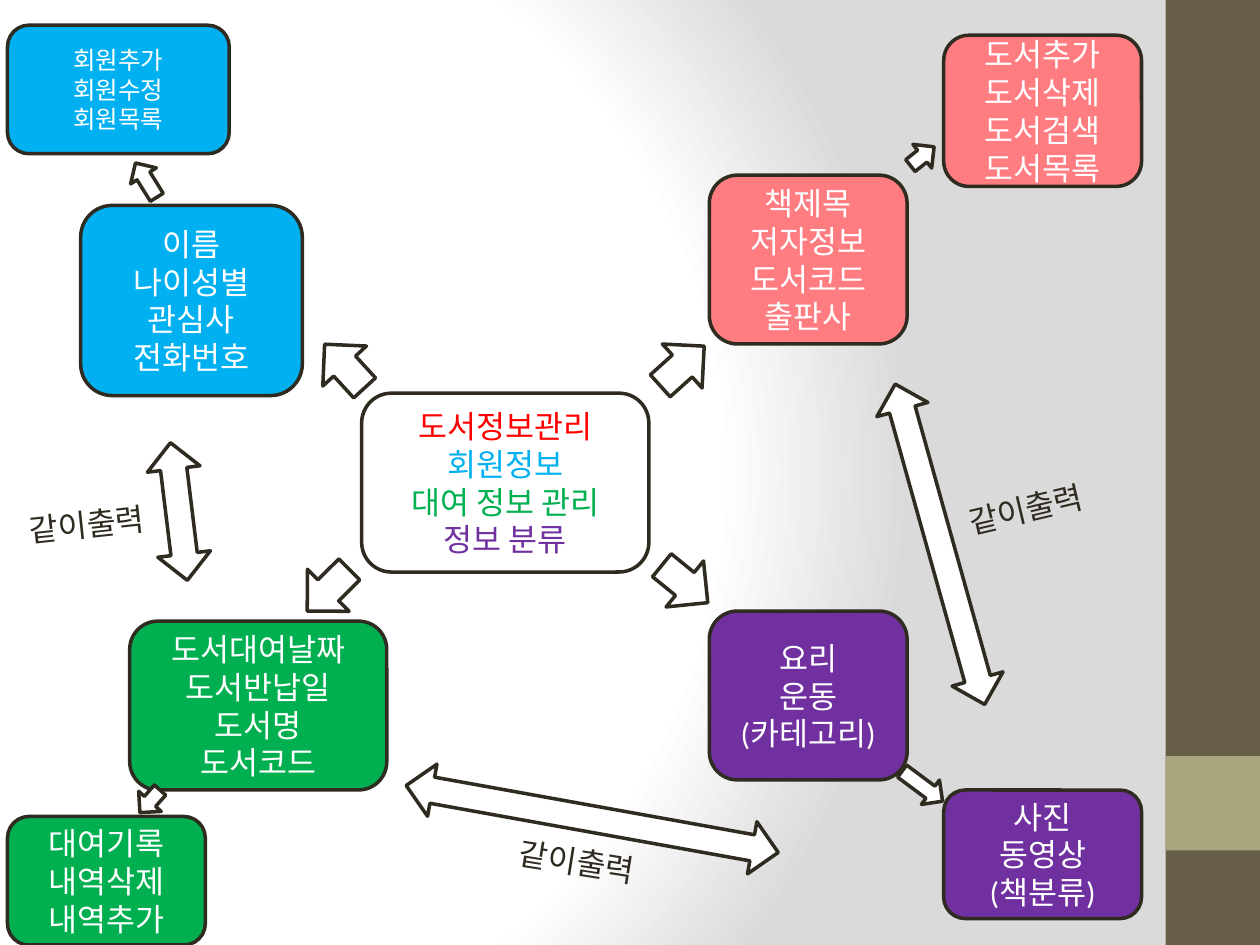
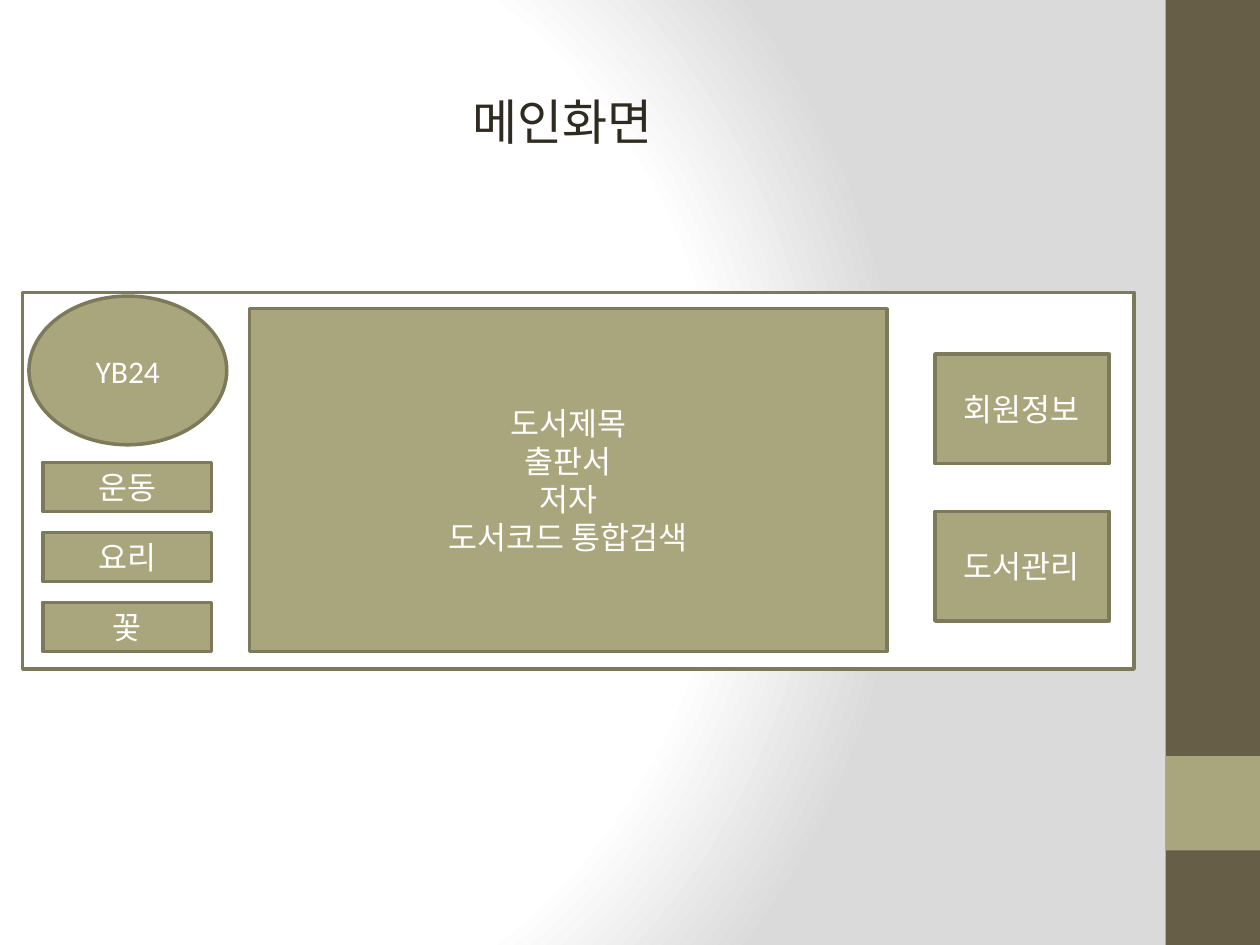
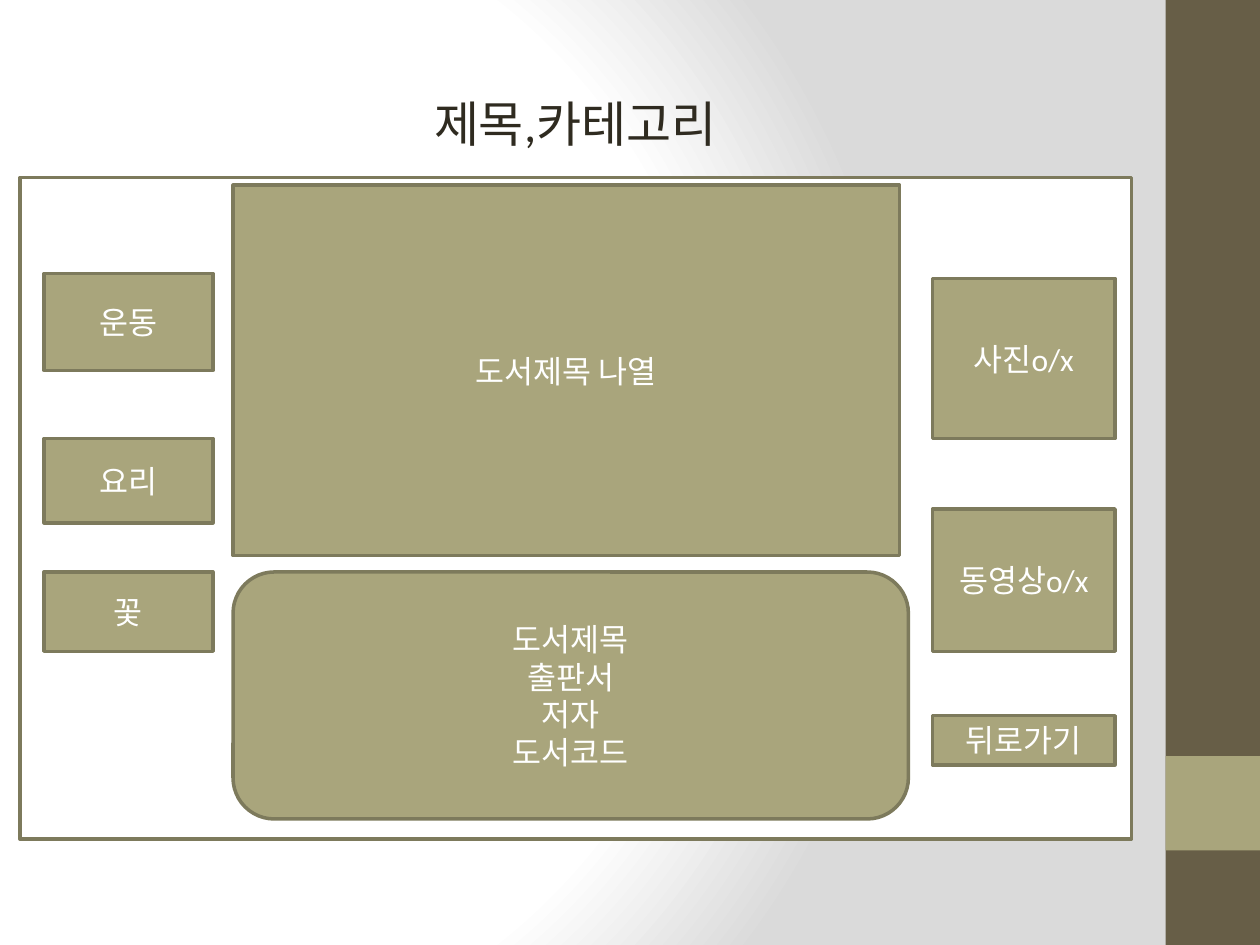
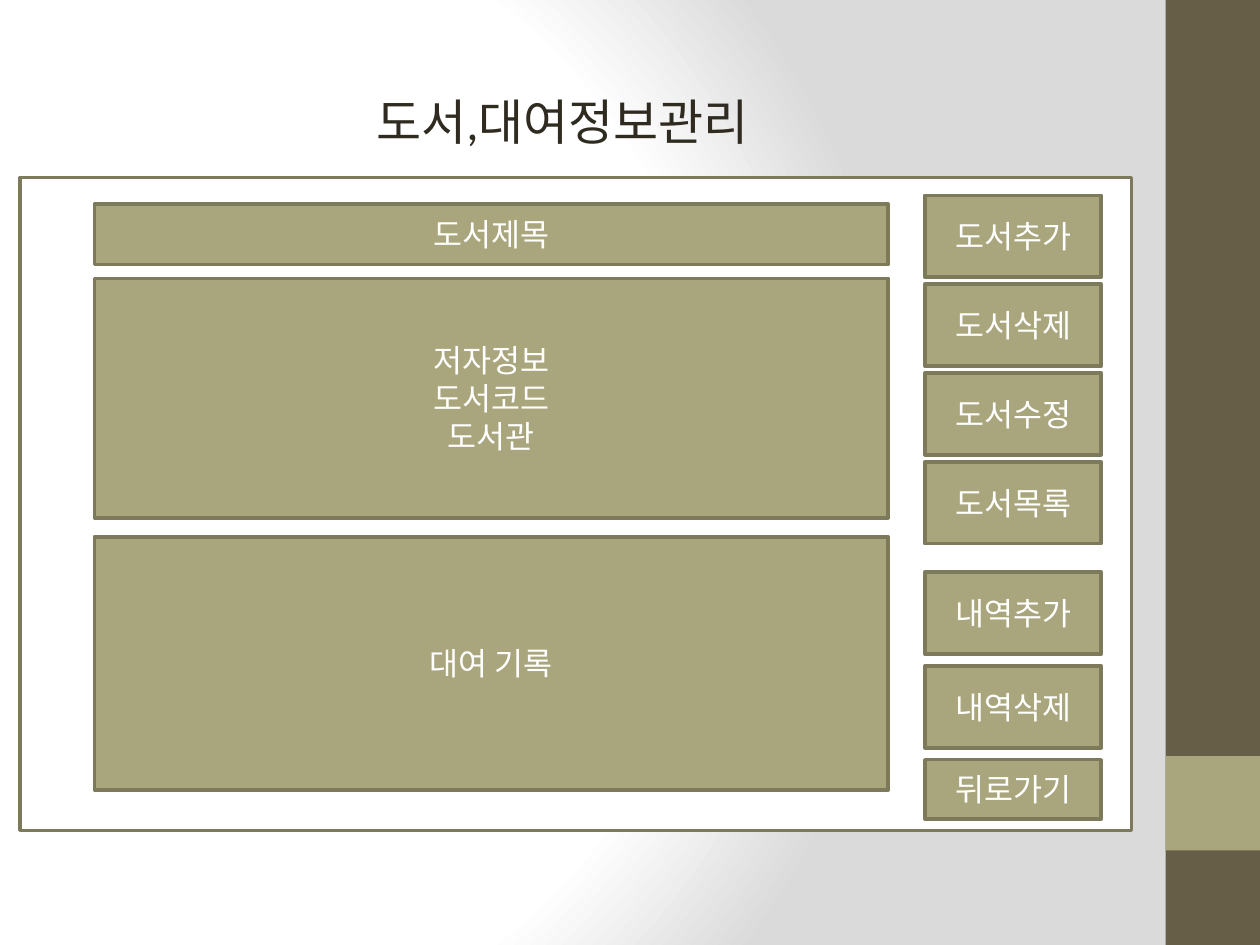
from pptx import Presentation
from pptx.dml.color import RGBColor
from pptx.enum.shapes import MSO_SHAPE
from pptx.enum.text import MSO_ANCHOR, PP_ALIGN
from pptx.oxml import parse_xml
from pptx.oxml.ns import nsdecls
from pptx.util import Inches, Pt

WHITE = RGBColor(0xFF, 0xFF, 0xFF)
INK = RGBColor(0x2F, 0x2B, 0x20)
BROWN = RGBColor(0x67, 0x5E, 0x47)
OLIVE = RGBColor(0xA9, 0xA5, 0x7C)
OLIVE_EDGE = RGBColor(0x7D, 0x7A, 0x5C)
RED = RGBColor(0xFF, 0x00, 0x00)
PINK = RGBColor(0xFF, 0x7C, 0x80)
BLUE = RGBColor(0x00, 0xB0, 0xF0)
GREEN = RGBColor(0x00, 0xB0, 0x50)
PURPLE = RGBColor(0x70, 0x30, 0xA0)

BODY = {"name": "Calibri", "size": Pt(18)}
SMALL = {"name": "Calibri", "size": Pt(14)}
TITLE = {"name": "Calibri", "size": Pt(28)}

deck = Presentation()
deck.slide_width, deck.slide_height = Inches(10), Inches(7.5)
blank = deck.slide_layouts[6]

# Grid of 100 columns by 75 rows; boxes are (column, row, columns, rows)
COL, ROW = deck.slide_width / 100, deck.slide_height / 75


def write_lines(frame, lines, colors, font, align=PP_ALIGN.CENTER):
    """Write one paragraph per line, cycling through the colours."""
    frame.word_wrap = True
    for i, line in enumerate(lines):
        paragraph = frame.paragraphs[0] if i == 0 else frame.add_paragraph()
        paragraph.alignment = align
        run = paragraph.add_run()
        run.text = line
        for key, value in font.items():
            setattr(run.font, key, value)
        run.font.color.rgb = colors[i % len(colors)]


def add_block(slide, box, text="", kind=MSO_SHAPE.RECTANGLE, fill=OLIVE,
              edge=OLIVE_EDGE, colors=(WHITE,), font=BODY, turn=0):
    """Draw a preset shape on the grid, with optional lines of text."""
    left, top, width, height = box
    block = slide.shapes.add_shape(kind, round(left * COL), round(top * ROW),
                                   round(width * COL), round(height * ROW))
    block.shadow.inherit = False
    block.rotation = turn
    block.fill.solid()
    block.fill.fore_color.rgb = fill
    if edge is None:
        block.line.fill.background()
    else:
        block.line.color.rgb = edge
        block.line.width = Pt(2)
    if text:
        block.text_frame.vertical_anchor = MSO_ANCHOR.MIDDLE
        write_lines(block.text_frame, text.split("\n"), colors, font)
    return block


overview, main_screen, category, rental = [deck.slides.add_slide(blank) for _ in range(4)]

# Shared background and side bands
backdrop = deck.slide_master.background.fill
backdrop.solid()
solid = deck.slide_master.element.cSld.find(".//{*}bgPr/{*}solidFill")
solid.getparent().replace(solid, parse_xml(
    f'<a:gradFill {nsdecls("a")} rotWithShape="1"><a:gsLst>'
    '<a:gs pos="0"><a:srgbClr val="FFFFFF"/></a:gs>'
    '<a:gs pos="75000"><a:srgbClr val="FFFFFF"/></a:gs>'
    '<a:gs pos="100000"><a:srgbClr val="DADADA"/></a:gs></a:gsLst>'
    '<a:path path="circle"><a:fillToRect l="20000" t="50000" r="100000" b="50000"/>'
    '</a:path></a:gradFill>'))
for band_id, (box, fill) in enumerate([((92.5, 0, 7.5, 75), BROWN),
                                       ((92.5, 60, 7.5, 7.5), OLIVE)], start=101):
    band = add_block(overview, box, fill=fill, edge=None)
    band.element.nvSpPr.cNvPr.set("id", str(band_id))
    blank.element.cSld.spTree.append(band.element)

# Titles of the screen slides
for slide, left, top, title in [(main_screen, 16.1, 6.8, "메인화면"),
                                (category, 17.1, 6.9, "제목,카테고리"),
                                (rental, 16.1, 6.8, "도서,대여정보관리")]:
    heading = slide.shapes.add_textbox(round(left * COL), round(top * ROW),
                                       round(57.1 * COL), round(5.7 * ROW))
    write_lines(heading.text_frame, [title], [INK], TITLE)

# Slide 1: topics around the centre
topics = [
    ((28.7, 31.2, 22.8, 14.2), WHITE, "도서정보관리\n회원정보\n대여 정보 관리\n정보 분류"),
    ((56.3, 13.9, 15.7, 13.4), PINK, "책제목\n저자정보\n도서코드\n출판사"),
    ((74.9, 2.8, 15.7, 12), PINK, "도서추가\n도서삭제\n도서검색\n도서목록"),
    ((6.4, 16.3, 17.6, 15.1), BLUE, "이름\n나이성별\n관심사\n전화번호"),
    ((0.6, 2, 17.6, 10.2), BLUE, "회원추가\n회원수정\n회원목록"),
    ((56.3, 48.5, 15.7, 13.4), PURPLE, "요리\n운동\n(카테고리)"),
    ((74.9, 62.7, 15.7, 10.2), PURPLE, "사진\n동영상\n(책분류)"),
    ((10.3, 49.3, 20.4, 13.4), GREEN, "도서대여날짜\n도서반납일\n도서명\n도서코드"),
    ((0.6, 64.8, 15.7, 10.2), GREEN, "대여기록\n내역삭제\n내역추가"),
]
for box, fill, text in topics:
    add_block(overview, box, text, MSO_SHAPE.ROUNDED_RECTANGLE, fill, INK,
              (RED, BLUE, GREEN, PURPLE) if fill == WHITE else (WHITE,),
              SMALL if text.startswith("회원추가") else BODY)

# Slide 1: arrows between topics
ONE_WAY, TWO_WAY = MSO_SHAPE.RIGHT_ARROW, MSO_SHAPE.UP_DOWN_ARROW
for kind, box, turn in [
    (ONE_WAY, (51.8, 26.7, 4.7, 4.7), 317.9),
    (ONE_WAY, (25, 26.7, 4.7, 4.7), 227.5),
    (ONE_WAY, (52, 44, 4.7, 4.7), 39.2),
    (ONE_WAY, (23.7, 44.5, 4.7, 4.7), 135.3),
    (ONE_WAY, (72, 11.2, 2.4, 2.4), 321.7),
    (ONE_WAY, (10, 13.1, 3.2, 2.4), 238.1),
    (ONE_WAY, (10.7, 62.4, 2.4, 2.4), 131.8),
    (ONE_WAY, (71.2, 61.2, 4, 2.4), 36.6),
    (TWO_WAY, (12.1, 35.1, 4.2, 11), 353),
    (TWO_WAY, (44.9, 50, 4.2, 30), 100.2),
    (TWO_WAY, (72.5, 30, 4.2, 26.4), 344.4),
]:
    add_block(overview, box, kind=kind, fill=WHITE, edge=INK, turn=turn)

# Slide 1: labels of the two-way arrows
for left, top, turn in [(1.3, 39.5, 354), (75.8, 38.2, 346.8), (40.2, 66.5, 8.9)]:
    label = overview.shapes.add_textbox(round(left * COL), round(top * ROW),
                                        round(12.8 * COL), round(4 * ROW))
    label.rotation = turn
    write_lines(label.text_frame, ["같이출력"], [INK], BODY, PP_ALIGN.LEFT)

# Slide 2: main screen
add_block(main_screen, (1.8, 23.2, 88.2, 29.9), fill=WHITE)
add_block(main_screen, (19.8, 24.5, 50.6, 27.2), "도서제목\n출판서\n저자\n도서코드 통합검색")
add_block(main_screen, (2.3, 23.5, 15.7, 11.8), "YB24", MSO_SHAPE.OVAL)
for i, genre in enumerate(["운동", "요리", "꽃"]):
    add_block(main_screen, (3.4, 36.7 + 5.55 * i, 13.4, 3.9), genre)
for i, menu in enumerate(["회원정보", "도서관리"]):
    add_block(main_screen, (74.2, 28.1 + 12.5 * i, 13.8, 8.7), menu)

# Slide 3: title and category screen
add_block(category, (1.6, 14.1, 88.2, 52.5), fill=WHITE)
add_block(category, (18.5, 14.7, 52.9, 29.4), "도서제목 나열")
add_block(category, (18.5, 45.4, 53.6, 19.6), "도서제목\n출판서\n저자\n도서코드",
          MSO_SHAPE.ROUNDED_RECTANGLE)
for left, width, column in [
    (3.5, 13.4, [(21.7, 7.7, "운동"), (34.8, 6.7, "요리"), (45.4, 6.3, "꽃")]),
    (74, 14.5, [(22.1, 12.7, "사진o/x"), (40.4, 11.3, "동영상o/x"), (56.8, 3.9, "뒤로가기")]),
]:
    for top, height, text in column:
        add_block(category, (left, top, width, height), text)

# Slide 4: book and rental screen
add_block(rental, (1.6, 14.1, 88.2, 51.8), fill=WHITE)
for top, height, text in [(16.2, 4.8, "도서제목"), (22.1, 19, "저자정보\n도서코드\n도서관"),
                          (42.6, 20.1, "대여 기록")]:
    add_block(rental, (7.5, top, 63, height), text)
for first, step, actions in [(15.5, 7.05, ["도서추가", "도서삭제", "도서수정", "도서목록"]),
                             (45.4, 7.45, ["내역추가", "내역삭제", "뒤로가기"])]:
    for i, action in enumerate(actions):
        height = 4.7 if action == "뒤로가기" else 6.5
        add_block(rental, (73.4, first + step * i, 14, height), action)

deck.save("out.pptx")
